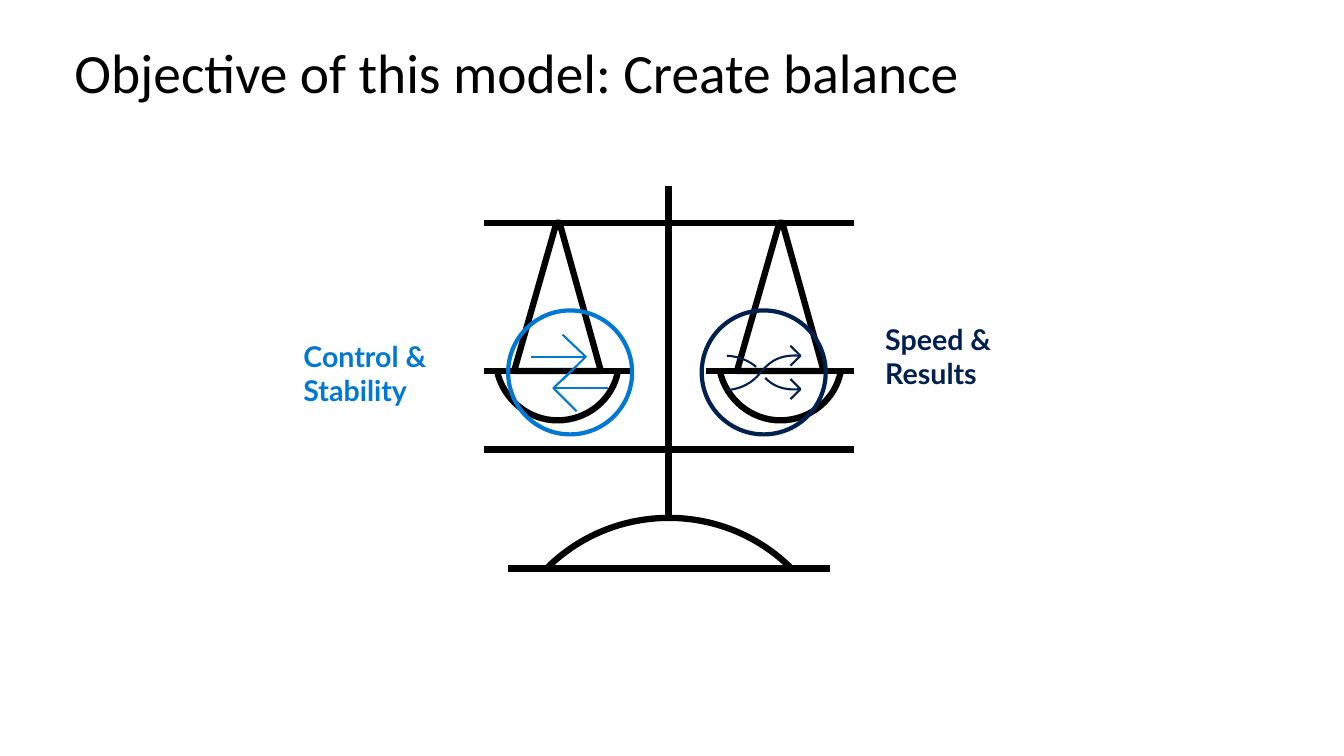
from pptx import Presentation
from pptx.dml.color import RGBColor
from pptx.enum.shapes import MSO_CONNECTOR as Wire, MSO_SHAPE as Kind
from pptx.enum.text import MSO_ANCHOR as Anchor, MSO_AUTO_SIZE as Auto
from pptx.util import Inches, Pt
from lxml.etree import SubElement
from pptx.oxml.ns import qn

BLACK = RGBColor(0x00, 0x00, 0x00)
BLUE = RGBColor(0x00, 0x78, 0xD4)
NAVY = RGBColor(0x00, 0x20, 0x50)


class Curve(list):
    pass


def style(item, values):
    for name, value in values.items():
        setattr(item, name, value)


def ink(shape, color, width):
    shape.line.color.rgb = color
    shape.line.width = Pt(width)


def hollow(shape, color, width):
    shape.shadow.inherit = False
    shape.fill.background()
    ink(shape, color, width)


def bend(shape, strokes):
    trace = next(shape._element.iter(qn("a:path")))
    parts = iter(list(trace))
    for stroke in strokes:
        size = len(stroke) + (stroke[0] == stroke[-1])
        nodes = [next(parts) for _ in range(size)]
        if isinstance(stroke, Curve):
            for first in range(1, size, 3):
                trio = nodes[first:first + 3]
                arc = trace.makeelement(qn("a:cubicBezTo"))
                trio[0].addprevious(arc)
                for node in trio:
                    arc.append(node[0])
                    trace.remove(node)


def draw(slide, strokes, color, width):
    pen = None
    for stroke in strokes:
        start, *rest = [(Inches(x), Inches(y)) for x, y in stroke]
        if pen is None:
            pen = slide.shapes.build_freeform(*start)
        else:
            pen.move_to(*start)
        pen.add_line_segments(rest, close=stroke[0] == stroke[-1])
    shape = pen.convert_to_shape()
    bend(shape, strokes)
    hollow(shape, color, width)


def ring(slide, left, top, size, color):
    box = [Inches(n) for n in (left, top, size, size)]
    hollow(slide.shapes.add_shape(Kind.OVAL, *box), color, 3)


def beam(slide, left, right, y):
    ends = [Inches(n) for n in (left, y, right, y)]
    line = slide.shapes.add_connector(Wire.STRAIGHT, *ends)
    ink(line, BLACK, 4.5)
    SubElement(line._element.spPr, qn("a:effectLst"))


def write(slide, box, lines, font, color, frame, spacing=None):
    shape = slide.shapes.add_textbox(*[Inches(n) for n in box])
    text = shape.text_frame
    style(text, {"word_wrap": True, **frame})
    text.text = "\n".join(lines)
    for para in text.paragraphs:
        para.line_spacing = spacing
        style(para.font, font)
        para.font.color.rgb = color


def label(slide, box, lines, color):
    font = {"name": "Lato", "size": Pt(20.4), "bold": True}
    sides = ("left", "top", "right", "bottom")
    frame = {f"margin_{side}": 0 for side in sides}
    frame["auto_size"] = Auto.SHAPE_TO_FIT_TEXT
    write(slide, box, lines, font, color, frame)


def pan(mid):
    def at(x, y):
        return mid + x, y

    bowl = Curve([at(-0.6, 3.68), at(-0.54, 3.96), at(-0.29, 4.17),
                  at(0, 4.17), at(0.3, 4.17), at(0.55, 3.96), at(0.6, 3.68)])
    cords = [at(0.02, 2.21), at(-0.01, 2.21), at(-0.43, 3.68),
             at(0.43, 3.68), at(0.02, 2.21)]
    return [bowl, cords]


def scale(slide):
    strokes = [
        [(4.8, 2.21), (8.47, 2.21)],
        [(6.63, 1.85), (6.63, 5.14)],
        [(4.8, 3.68), (6.27, 3.68)],
        [(7, 3.68), (8.47, 3.68)],
        [(5.04, 5.64), (8.23, 5.64)],
        Curve([(7.85, 5.64), (7.18, 4.97), (6.09, 4.97), (5.42, 5.64)]),
    ]
    for mid in (5.53, 7.74):
        strokes += pan(mid)
    draw(slide, strokes, BLACK, 4.5)
    beam(slide, 4.8, 8.47, 4.46)


def speed(slide):
    heads = [[(7.84, y - 0.1), (7.94, y), (7.84, y + 0.1)]
             for y in (3.53, 3.86)]
    draw(slide, [
        Curve([(7.94, 3.86), (7.76, 3.88), (7.66, 3.82), (7.59, 3.75)]),
        Curve([(7.5, 3.64), (7.37, 3.53), (7.21, 3.53), (7.21, 3.53)]),
        Curve([(7.94, 3.53), (7.7, 3.51), (7.61, 3.62), (7.54, 3.7),
               (7.41, 3.87), (7.21, 3.87), (7.21, 3.87)]),
        *heads,
    ], NAVY, 1.5)
    ring(slide, 6.96, 3.08, 1.23, NAVY)


def control(slide):
    ring(slide, 5.04, 3.08, 1.23, BLUE)
    strokes = []
    for back, tip, tail, y in ((5.58, 5.81, 5.27, 3.54),
                               (5.72, 5.49, 6.03, 3.85)):
        strokes += [[(back, y - 0.22), (tip, y), (back, y + 0.23)],
                    [(tip, y), (tail, y)]]
    draw(slide, strokes, BLUE, 1.5)


def main():
    deck = Presentation()
    style(deck, {"slide_width": Inches(13.33), "slide_height": Inches(7.5)})
    slide = deck.slides.add_slide(deck.slide_layouts[6])
    write(slide, (0.64, 0.44, 12.05, 0.61),
          ["Objective of this model: Create balance"],
          {"name": "Calibri", "size": Pt(39.6)}, BLACK,
          {"vertical_anchor": Anchor.MIDDLE}, 0.9)
    label(slide, (3.01, 3.36, 1.37, 0.69), ["Control & Stability"], BLUE)
    label(slide, (8.78, 3.19, 1.26, 0.69), ["Speed &", "Results"], NAVY)
    scale(slide)
    speed(slide)
    control(slide)
    deck.save("out.pptx")


if __name__ == "__main__":
    main()
